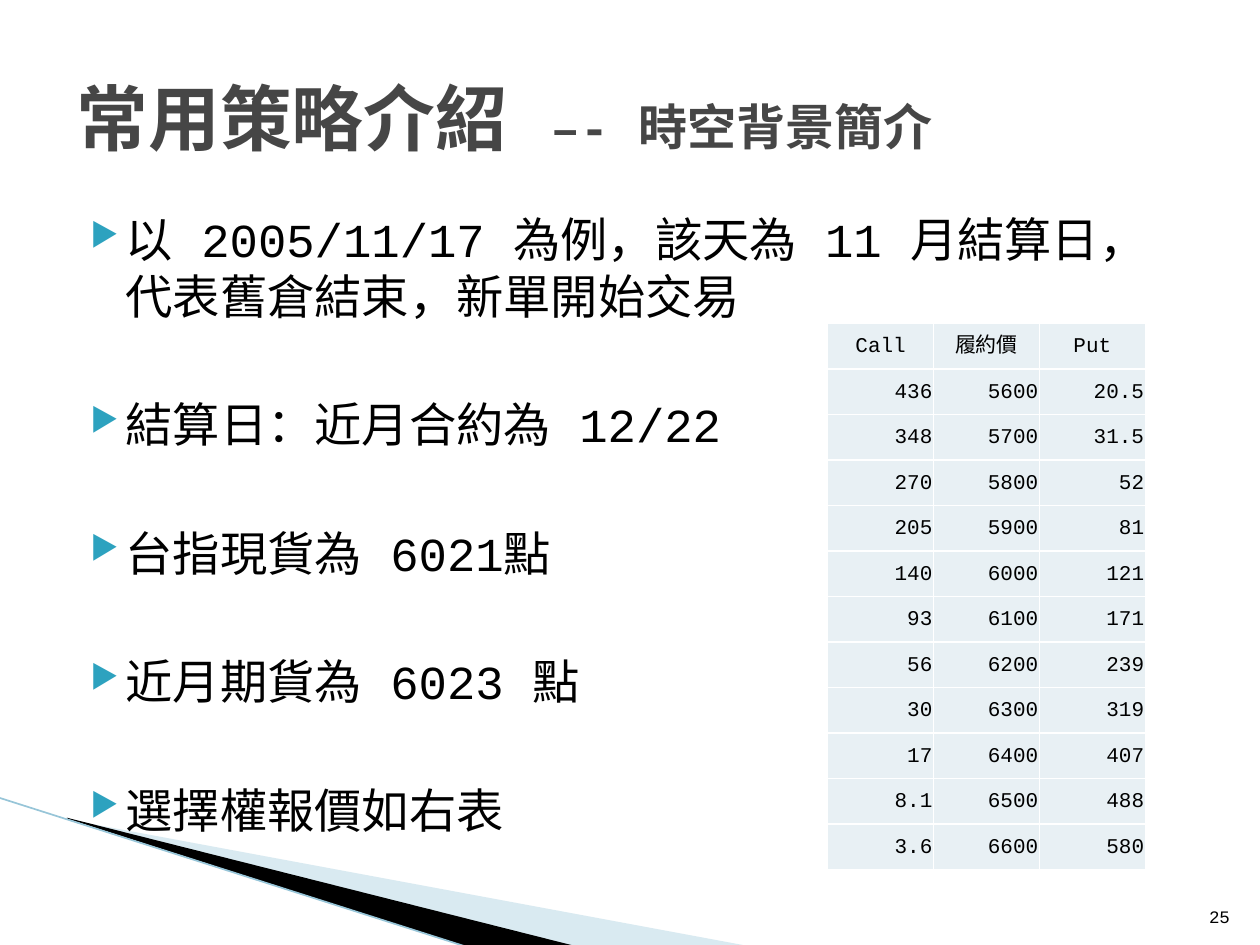
from lxml.etree import SubElement
from pptx import Presentation
from pptx.dml.color import RGBColor
from pptx.enum.shapes import MSO_CONNECTOR
from pptx.enum.text import MSO_ANCHOR as Anchor, PP_ALIGN as Align
from pptx.oxml.ns import qn
from pptx.util import Pt

FONT = "Courier New"
BLACK, WHITE, GREY = "000000", "FFFFFF", "464646"
TEAL, PALE_TEAL, LINE_TEAL, CELL = "2DA2BF", "A0CBDC", "97C5D8", "E8F0F4"

TITLE = [("常用策略介紹 ", 41), ("–- 時空背景簡介", 28)]
POINTS = [
    "以 2005/11/17 為例，該天為 11 月結算日，代表舊倉結束，新單開始交易",
    "結算日：近月合約為 12/22",
    "台指現貨為 6021點",
    "近月期貨為 6023 點",
    "選擇權報價如右表",
]
QUOTES = [
    ("Call", "履約價", "Put"),
    ("436", "5600", "20.5"),
    ("348", "5700", "31.5"),
    ("270", "5800", "52"),
    ("205", "5900", "81"),
    ("140", "6000", "121"),
    ("93", "6100", "171"),
    ("56", "6200", "239"),
    ("30", "6300", "319"),
    ("17", "6400", "407"),
    ("8.1", "6500", "488"),
    ("3.6", "6600", "580"),
]
PAGE_NUMBER = "25"
# Corner wedges: outline, fill, opacity in percent
WEDGES = [
    ([(39.6, 468.5), (428.4, 540.7), (328.3, 540.7), (39.6, 468)], PALE_TEAL, 40),
    ([(38.2, 467.3), (329, 540.7), (267.8, 541.4), (38.9, 468)], BLACK, 100),
]
EDGE = (-0.7, 455.8, 267.8, 541.4)
COLUMN_WIDTH, ROW_HEIGHT = 60.5, 26


def color(value):
    return RGBColor.from_string(value)


def set_font(font, size, value, bold=False):
    """Style a font, with the same face for Latin and East Asian text."""
    font.name, font.size, font.bold = FONT, Pt(size), bold
    font.color.rgb = color(value)
    properties = font._element if hasattr(font, "_element") else font._rPr
    face = properties.find(qn("a:latin"))
    east_asian = SubElement(properties, qn("a:ea"), typeface=FONT)
    face.addnext(east_asian)


def add_box(page, left, top, width, height, anchor=Anchor.TOP):
    box = page.shapes.add_textbox(Pt(left), Pt(top), Pt(width), Pt(height))
    box.text_frame.word_wrap = True
    box.text_frame.vertical_anchor = anchor
    return box.text_frame


def add_bullet(para):
    properties = para._p.get_or_add_pPr()
    properties.set("marL", str(Pt(28.8)))
    properties.set("indent", str(Pt(-20.16)))
    bullet_color = SubElement(properties, qn("a:buClr"))
    SubElement(bullet_color, qn("a:srgbClr"), val=TEAL)
    SubElement(properties, qn("a:buSzPct"), val="68000")
    SubElement(properties, qn("a:buChar"), char="▶")


def add_wedge(page, outline, fill, opacity):
    corners = [(Pt(x), Pt(y)) for x, y in outline]
    builder = page.shapes.build_freeform(*corners[0], scale=1.0)
    builder.add_line_segments(corners[1:], close=True)
    wedge = builder.convert_to_shape()
    wedge.shadow.inherit = False
    wedge.line.fill.background()
    wedge.fill.solid()
    wedge.fill.fore_color.rgb = color(fill)
    if opacity < 100:
        shade = wedge._element.spPr.find(".//" + qn("a:srgbClr"))
        SubElement(shade, qn("a:alpha"), val=str(opacity * 1000))


def add_edge(page):
    edge = page.shapes.add_connector(MSO_CONNECTOR.STRAIGHT, *map(Pt, EDGE))
    edge.line.color.rgb = color(LINE_TEAL)
    edge.line.width = Pt(0.95)
    SubElement(edge._element.spPr, qn("a:effectLst"))


def style_cell(cell, align):
    cell.margin_left = cell.margin_right = cell.margin_top = Pt(0.72)
    cell.margin_bottom = 0
    cell.vertical_anchor = Anchor.MIDDLE
    para = cell.text_frame.paragraphs[0]
    para.alignment = align
    set_font(para.runs[0].font, 12, BLACK)
    properties = cell._tc.get_or_add_tcPr()
    for side in ("lnL", "lnR", "lnT", "lnB"):
        border = SubElement(properties, qn("a:" + side), w=str(Pt(1)))
        SubElement(SubElement(border, qn("a:solidFill")), qn("a:srgbClr"), val=WHITE)
    cell.fill.solid()
    cell.fill.fore_color.rgb = color(CELL)


def add_quotes(page):
    rows, columns = len(QUOTES), len(QUOTES[0])
    table = page.shapes.add_table(
        rows, columns, Pt(473), Pt(185),
        Pt(COLUMN_WIDTH * columns), Pt(ROW_HEIGHT * rows)).table
    for column in table.columns:
        column.width = Pt(COLUMN_WIDTH)
    for r, quote in enumerate(QUOTES):
        table.rows[r].height = Pt(ROW_HEIGHT)
        for c, value in enumerate(quote):
            cell = table.cell(r, c)
            cell.text = value
            style_cell(cell, Align.RIGHT if r else Align.CENTER)


def main():
    deck = Presentation()
    deck.slide_width, deck.slide_height = Pt(720), Pt(540)
    page = deck.slides.add_slide(deck.slide_layouts[6])

    for wedge in WEDGES:
        add_wedge(page, *wedge)
    add_edge(page)

    para = add_box(page, 36.7, 21.6, 648, 90, Anchor.MIDDLE).paragraphs[0]
    for text, size in TITLE:
        span = para.add_run()
        span.text = text
        set_font(span.font, size, GREY, bold=True)

    body = add_box(page, 36, 116.6, 648, 356.4)
    for i, text in enumerate(POINTS):
        para = body.add_paragraph() if i else body.paragraphs[0]
        add_bullet(para)
        if i:
            para.space_before = Pt(41)
        span = para.add_run()
        span.text = text
        set_font(span.font, 27, BLACK)

    add_quotes(page)

    para = add_box(page, 681.1, 504.7, 28.8, 28.8, Anchor.BOTTOM).paragraphs[0]
    para.alignment = Align.RIGHT
    span = para.add_run()
    span.text = PAGE_NUMBER
    set_font(span.font, 10, BLACK)

    deck.save("out.pptx")


if __name__ == "__main__":
    main()
